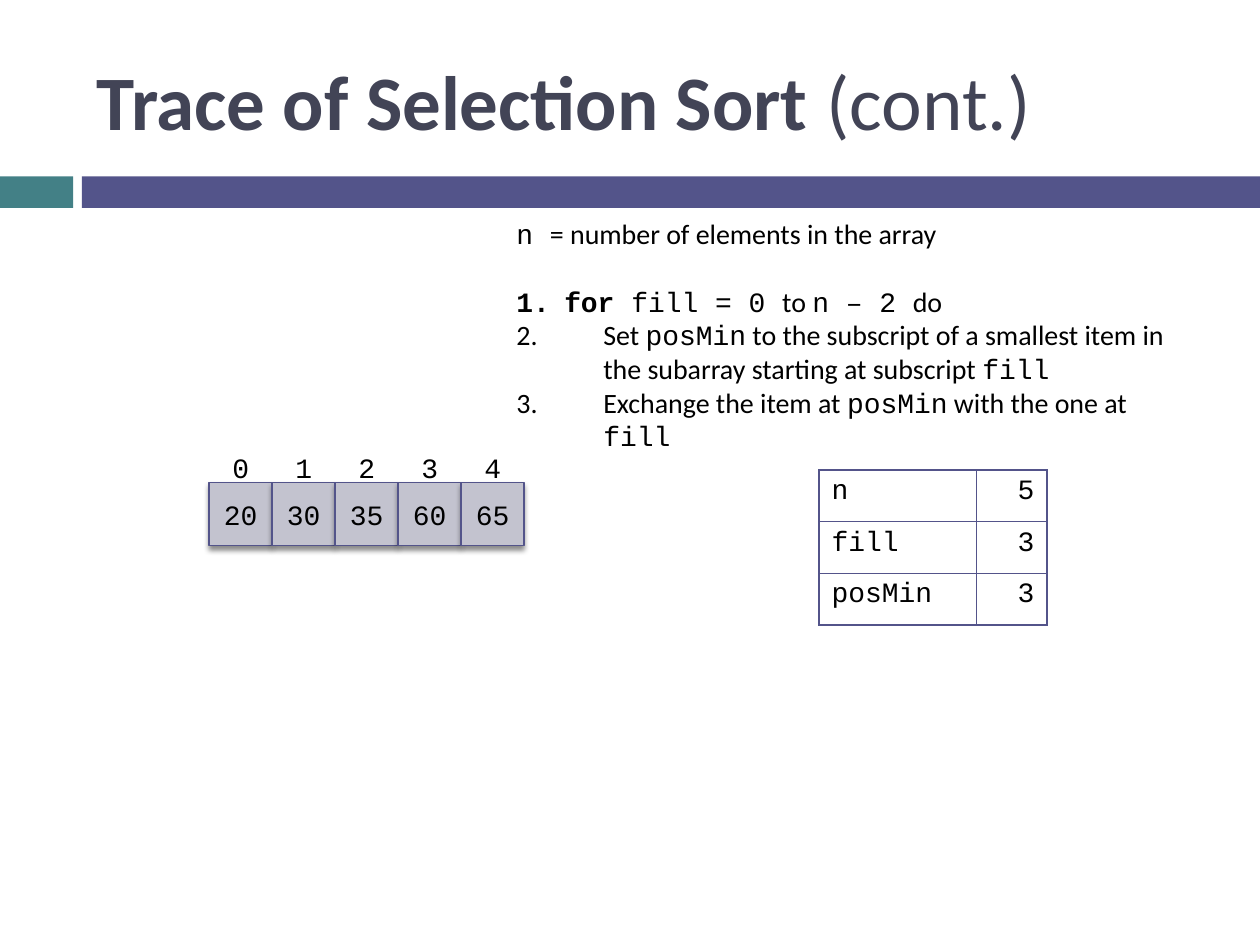
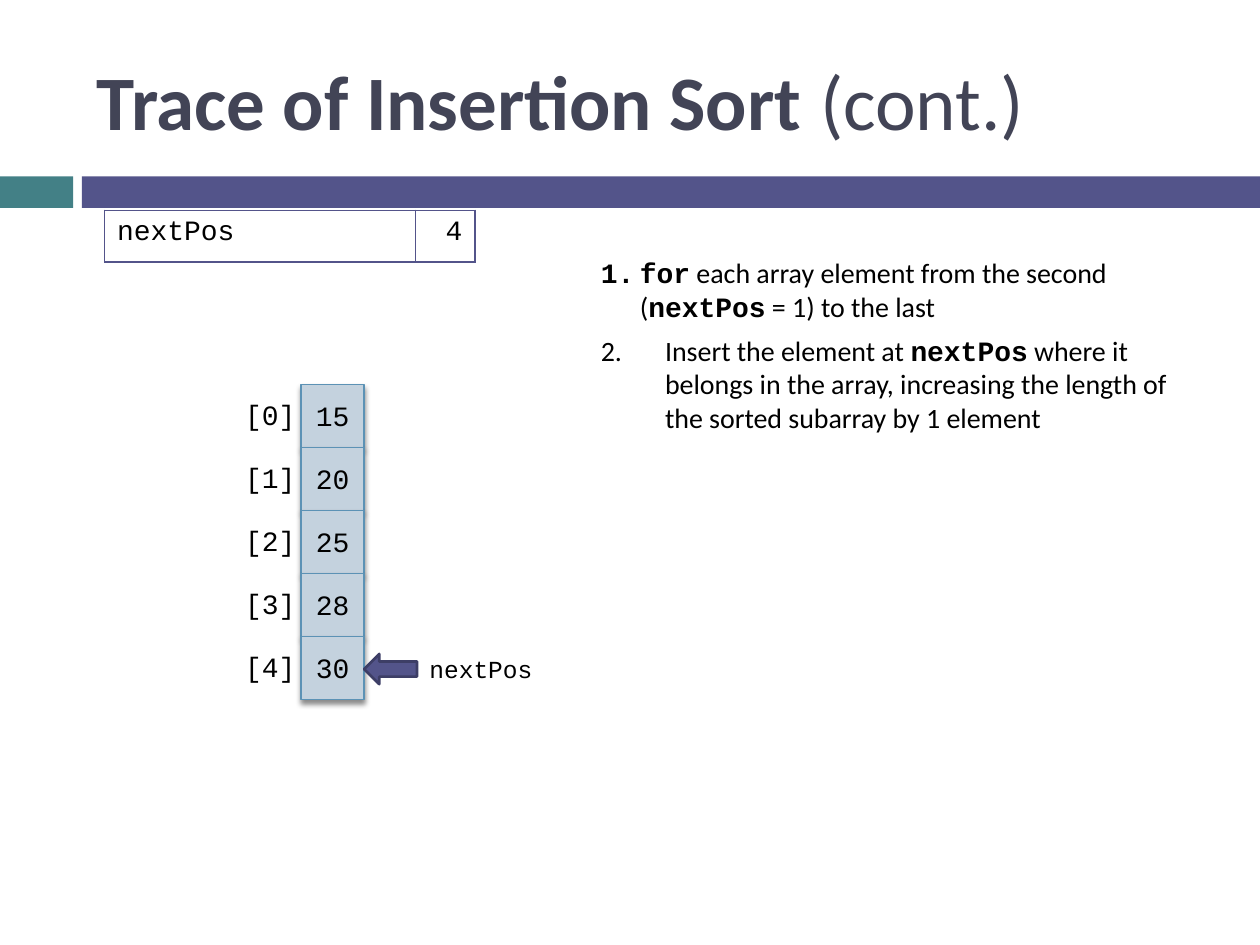
from lxml.etree import SubElement
from pptx import Presentation
from pptx.dml.color import RGBColor
from pptx.enum.shapes import MSO_SHAPE
from pptx.enum.text import MSO_ANCHOR, MSO_AUTO_SIZE, PP_ALIGN
from pptx.oxml import parse_xml
from pptx.oxml.ns import nsdecls, qn
from pptx.util import Inches, Pt

BLACK = RGBColor(0x00, 0x00, 0x00)
SLATE = RGBColor(0x42, 0x44, 0x56)
TEAL = RGBColor(0x43, 0x80, 0x86)
INDIGO = RGBColor(0x53, 0x54, 0x8A)
NAVY = RGBColor(0x3D, 0x3E, 0x66)
GREY = RGBColor(0xC3, 0xC3, 0xCF)
PALE = RGBColor(0xC4, 0xD2, 0xDE)
BLUE = RGBColor(0x5C, 0x92, 0xB5)
SANS, MONO = "Calibri", "Courier New"
CELL = 0.5  # side of an array cell

# Run styles: font and bold
TEXT, HEAD = (SANS, False), (SANS, True)
CODE, KEY = (MONO, False), (MONO, True)


class Deck:
    def __init__(self):
        self.prs = Presentation()
        self.prs.slide_width = Inches(10)
        self.prs.slide_height = Inches(7.5)
        self.slide = None

    def start(self, title):
        """Add a slide with its bands and title."""
        self.slide = self.prs.slides.add_slide(self.prs.slide_layouts[6])
        self.shape(0, 1.4, 0.58, 0.25, TEAL)
        self.shape(0.65, 1.4, 9.35, 0.25, INDIGO)
        frame = self.text(0.67, 0.25, 8.92, 1.08, grow=False)
        frame.vertical_anchor = MSO_ANCHOR.MIDDLE
        self.runs(frame.paragraphs[0], [(title + " ", HEAD), ("(cont.)", TEXT)],
                  size=44, color=SLATE)

    def runs(self, para, parts, size=16, color=BLACK):
        for words, (face, bold) in parts:
            run = para.add_run()
            run.text = words
            font = run.font
            font.name, font.size, font.bold = face, Pt(size), bold
            font.color.rgb = color

    def text(self, x, y, w, h, grow=True):
        box = self.slide.shapes.add_textbox(Inches(x), Inches(y), Inches(w), Inches(h))
        frame = box.text_frame
        frame.word_wrap = True
        if grow:
            frame.auto_size = MSO_AUTO_SIZE.SHAPE_TO_FIT_TEXT
        return frame

    def label(self, x, y, w, h, words, align=PP_ALIGN.CENTER, size=16):
        para = self.text(x, y, w, h).paragraphs[0]
        para.alignment = align
        self.runs(para, [(words, CODE)], size)

    def steps(self, x, y, w, h, items, after=0, intro=None):
        """Numbered steps, each an indent and its runs, under an optional intro."""
        frame = self.text(x, y, w, h)
        para = frame.paragraphs[0]
        if intro:
            self.runs(para, intro)
            para.space_after = Pt(19.5)
            para = frame.add_paragraph()
        for i, (indent, parts) in enumerate(items):
            if i:
                para = frame.add_paragraph()
            props = para._p.get_or_add_pPr()
            props.set("marL", str(Inches(indent)))
            props.set("indent", str(-Inches(indent)))
            SubElement(props, qn("a:buFont"), typeface="+mj-lt")
            props.remove(props[-1])  # number follows the font of the first run
            SubElement(props, qn("a:buAutoNum"), type="arabicPeriod")
            para.space_after = Pt(after)
            self.runs(para, parts)

    def shape(self, x, y, w, h, fill, line=None, width=0.79, kind=MSO_SHAPE.RECTANGLE):
        item = self.slide.shapes.add_shape(kind, Inches(x), Inches(y), Inches(w), Inches(h))
        item.shadow.inherit = False
        item.fill.solid()
        item.fill.fore_color.rgb = fill
        if line is None:
            item.line.fill.background()
        else:
            item.line.color.rgb = line
            item.line.width = Pt(width)
        return item

    def cell(self, x, y, value, fill, line):
        """One array cell with a soft shadow below it."""
        item = self.shape(x, y, CELL, CELL, fill, line)
        effects = item._element.spPr.find(qn("a:effectLst"))
        effects.append(parse_xml(
            f'<a:outerShdw {nsdecls("a")} blurRad="{Pt(3)}" dist="{Pt(2.4)}" '
            'dir="5400000" rotWithShape="0"><a:srgbClr val="000000">'
            '<a:alpha val="45000"/></a:srgbClr></a:outerShdw>'))
        frame = item.text_frame
        frame.vertical_anchor = MSO_ANCHOR.MIDDLE
        para = frame.paragraphs[0]
        para.alignment = PP_ALIGN.CENTER
        self.runs(para, [(str(value), CODE)])

    def table(self, x, y, widths, rows):
        """Names on the left, values on the right."""
        high = 0.41
        grid = self.slide.shapes.add_table(
            len(rows), len(widths), Inches(x), Inches(y),
            Inches(sum(widths)), Inches(high * len(rows))).table
        grid.first_row = grid.horz_banding = False
        for col, width in zip(grid.columns, widths):
            col.width = Inches(width)
        for r, row in enumerate(rows):
            grid.rows[r].height = Inches(high)
            for c, value in enumerate(row):
                cell = grid.cell(r, c)
                cell.fill.background()
                para = cell.text_frame.paragraphs[0]
                para.alignment = PP_ALIGN.RIGHT if c else PP_ALIGN.LEFT
                self.runs(para, [(str(value), CODE)])
                self.border(cell)

    def border(self, cell):
        props = cell._tc.get_or_add_tcPr()
        for i, side in enumerate("LRTB"):
            props.insert(i, parse_xml(
                f'<a:ln{side} {nsdecls("a")} w="{Pt(1)}"><a:solidFill>'
                f'<a:srgbClr val="{INDIGO}"/></a:solidFill></a:ln{side}>'))


def select(deck):
    deck.start("Trace of Selection Sort")
    # Algorithm
    deck.steps(4, 1.67, 5.58, 1.72, [
        (0.38, [("for", KEY), (" fill = 0 ", CODE), ("to ", TEXT),
                ("n – 2 ", CODE), ("do", TEXT)]),
        (0.69, [("Set ", TEXT), ("posMin", CODE),
                (" to the subscript of a smallest item in the subarray"
                 " starting at subscript ", TEXT), ("fill", CODE)]),
        (0.69, [("Exchange the item at ", TEXT), ("posMin", CODE),
                (" with the one at ", TEXT), ("fill", CODE)]),
    ], intro=[("n ", CODE), ("= number of elements in the array", TEXT)])
    # Array across, with subscripts above
    values = [20, 30, 35, 60, 65]
    for i, value in enumerate(values):
        deck.cell(1.66 + i * CELL, 3.83, value, GREY, INDIGO)
    for i in range(len(values)):
        deck.label(1.67 + i * CELL, 3.53, 0.48, 0.37, str(i))
    # Variables
    deck.table(6.5, 3.73, [1.25, 0.56], [("n", 5), ("fill", 3), ("posMin", 3)])


def insert(deck):
    deck.start("Trace of Insertion Sort")
    # Algorithm
    deck.steps(4.67, 1.98, 4.75, 1.89, [
        (0.31, [("for", KEY), (" each array element from the second (", TEXT),
                ("nextPos", KEY), (" = 1) to the last", TEXT)]),
        (0.51, [("Insert the element at ", TEXT), ("nextPos", KEY),
                (" where it belongs in the array, increasing the length of"
                 " the sorted subarray by 1 element", TEXT)]),
    ], after=6)
    # Array down, with subscripts at the left
    for i, value in enumerate([15, 20, 25, 28, 30]):
        top = 3.05 + i * CELL
        deck.cell(2.39, top, value, PALE, BLUE)
        deck.label(1.78, top + 0.06, 0.73, 0.37, f"[{i}]")
    # Variable
    deck.table(0.83, 1.67, [2.47, 0.47], [("nextPos", 4)])
    # Pointer to the next position
    arrow = deck.shape(2.98, 5.1, 0.24, 0.42, INDIGO, NAVY, 1.5, MSO_SHAPE.DOWN_ARROW)
    arrow.rotation = 90
    deck.label(3.31, 5.14, 1.07, 0.34, "nextPos", PP_ALIGN.LEFT, 14)


def main():
    deck = Deck()
    select(deck)
    insert(deck)
    deck.prs.save("out.pptx")


if __name__ == "__main__":
    main()
